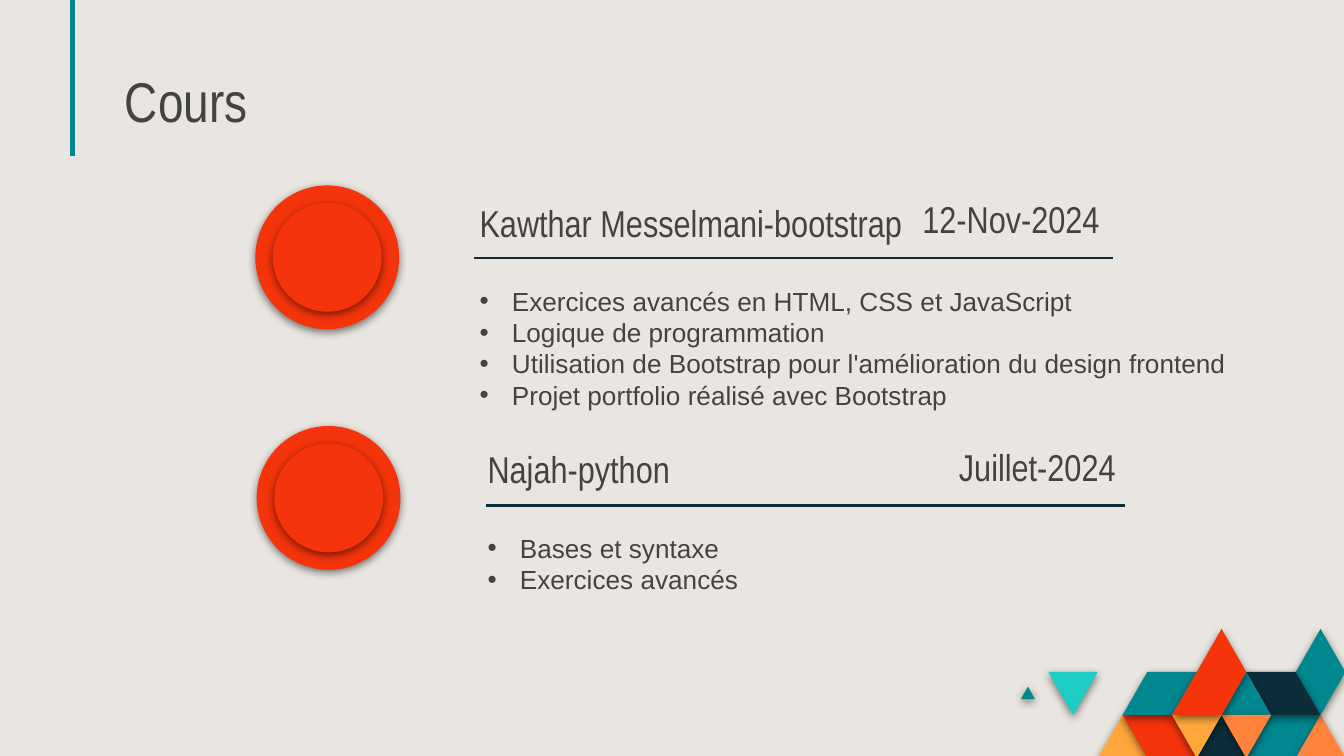
from lxml import etree
from pptx import Presentation
from pptx.dml.color import RGBColor
from pptx.enum.shapes import MSO_CONNECTOR, MSO_SHAPE
from pptx.enum.text import MSO_ANCHOR, PP_ALIGN
from pptx.oxml.ns import qn
from pptx.util import Inches, Pt

LINE, OVAL = MSO_CONNECTOR.STRAIGHT, MSO_SHAPE.OVAL
TOP, LOW = MSO_ANCHOR.TOP, MSO_ANCHOR.BOTTOM
LEFT, RIGHT = PP_ALIGN.LEFT, PP_ALIGN.RIGHT

THEME = {
    "back": "E9E6E1", "text": "434343", "teal": "018790", "aqua": "1DCDC3",
    "red": "F5340B", "navy": "0C2E3A", "gold": "FFA73B", "orange": "FF823B",
    "head": "Arial Narrow", "body": "Arial",
    "title": 30, "name": 20, "item": 14,
}

TITLE = "Cours"
COURSES = [
    {
        "name": ("Kawthar Messelmani-bootstrap", (3.47, 1.26, 3.44, 0.66)),
        "date": ("12-Nov-2024", (6.13, 1.26, 2.15, 0.63)),
        "rule": (3.53, 1.92),
        "disc": (1.9, 1.38),
        "items": [
            "Exercices avancés en HTML, CSS et JavaScript",
            "Logique de programmation",
            "Utilisation de Bootstrap pour l'amélioration du design frontend",
            "Projet portfolio réalisé avec Bootstrap",
        ],
        "list": (3.47, 2.02, 6.15, 1.22),
        "pad": 0.1,
    },
    {
        "name": ("Najah-python", (3.53, 3.12, 2.66, 0.63)),
        "date": ("Juillet-2024", (6.25, 3.11, 2.15, 0.63)),
        "rule": (3.62, 3.76),
        "disc": (1.91, 3.17),
        "items": ["Bases et syntaxe", "Exercices avancés"],
        "list": (3.53, 3.91, 5, 0.57),
        "pad": 0.05,
    },
]
RULE = 4.75
DISC, INSET = 1.07, 0.13

GRID = (7.8, 4.68, 2.21 / 12, 0.32)
TILES = [
    ("gold", [(2, 3), (3, 2), (4, 3)]),
    ("red", [(3, 2), (5, 2), (6, 3), (4, 3)]),
    ("teal", [(8, 3), (9, 2), (11, 2), (10, 3)]),
    ("orange", [(10, 3), (11, 2), (12, 3)]),
    ("navy", [(6, 3), (7, 2), (8, 3)]),
    ("teal", [(3, 2), (4, 1), (6, 1), (5, 2)]),
    ("teal", [(-1.1, 1.63), (-0.82, 1.34), (-0.54, 1.63)]),
    ("aqua", [(0, 1), (2, 1), (1, 2)]),
    ("teal", [(10, 1), (11, 0), (12, 1), (11, 2)]),
    ("navy", [(8, 1), (10, 1), (11, 2), (9, 2)]),
    ("teal", [(7, 2), (8, 1), (9, 2)]),
    ("orange", [(7, 2), (9, 2), (8, 3)]),
    ("gold", [(5, 2), (7, 2), (6, 3)]),
    ("red", [(5, 2), (7, 0), (8, 1), (7, 2)]),
]


def tint(key):
    return RGBColor.from_string(THEME[key])


def paint(shape, key):
    shape.fill.solid()
    shape.fill.fore_color.rgb = tint(key)
    shape.line.fill.background()
    shape.shadow.inherit = False
    glow = shape._element.spPr.find(qn("a:effectLst"))
    cast = etree.SubElement(glow, qn("a:outerShdw"), blurRad=str(Pt(4.5)),
                            dist=str(Pt(1.5)), dir="5400000", algn="bl", rotWithShape="0")
    shade = etree.SubElement(cast, qn("a:srgbClr"), val="000000")
    etree.SubElement(shade, qn("a:alpha"), val="50000")


def draw_line(slide, start, end, key, width):
    line = slide.shapes.add_connector(LINE, *map(Inches, start + end))
    line.line.color.rgb = tint(key)
    line.line.width = Pt(width)
    etree.SubElement(line._element.spPr, qn("a:effectLst"))


def draw_tile(slide, key, cells):
    left, top, wide, high = GRID
    points = [(Inches(left + c * wide), Inches(top + r * high)) for c, r in cells]
    pen = slide.shapes.build_freeform(*points[0])
    pen.add_line_segments(points[1:], close=True)
    paint(pen.convert_to_shape(), key)


def draw_disc(slide, spot, inset):
    x, y = (v + inset for v in spot)
    size = DISC - 2 * inset
    disc = slide.shapes.add_shape(OVAL, *map(Inches, (x, y, size, size)))
    paint(disc, "red")


def set_frame(frame, anchor, pad=0.1):
    frame.word_wrap = True
    frame.vertical_anchor = anchor
    frame.margin_left = frame.margin_right = Inches(0.1)
    frame.margin_top = frame.margin_bottom = Inches(pad)


def add_text(para, text, font, size, align=LEFT):
    para.alignment = align
    run = para.add_run()
    run.text = text
    run.font.name = THEME[font]
    run.font.size = Pt(THEME[size])
    run.font.color.rgb = tint("text")


def add_label(slide, text, box, align):
    frame = slide.shapes.add_textbox(*map(Inches, box)).text_frame
    set_frame(frame, LOW)
    add_text(frame.paragraphs[0], text, "head", "name", align)


def add_list(slide, items, box, pad):
    frame = slide.shapes.add_textbox(*map(Inches, box)).text_frame
    set_frame(frame, TOP, pad)
    for i, item in enumerate(items):
        para = frame.add_paragraph() if i else frame.paragraphs[0]
        add_text(para, item, "body", "item")
        props = para._p.get_or_add_pPr()
        props.set("marL", str(Inches(0.24)))
        props.set("indent", str(Inches(-0.24)))
        etree.SubElement(props, qn("a:buFont"), typeface=THEME["body"])
        etree.SubElement(props, qn("a:buChar"), char="•")


def add_title(slide):
    title = slide.shapes.title
    title.left, title.top, title.width, title.height = map(Inches, (0.83, 0.46, 4.16, 0.63))
    set_frame(title.text_frame, LOW)
    para = title.text_frame.paragraphs[0]
    para.line_spacing = 0.8
    add_text(para, TITLE, "head", "title")


def add_course(slide, course):
    for inset in (0, INSET):
        draw_disc(slide, course["disc"], inset)
    x, y = course["rule"]
    draw_line(slide, (x, y), (x + RULE, y), "navy", 1.5)
    add_label(slide, *course["name"], LEFT)
    add_label(slide, *course["date"], RIGHT)
    add_list(slide, course["items"], course["list"], course["pad"])


def main():
    deck = Presentation()
    deck.slide_width, deck.slide_height = Inches(10), Inches(10 * 9 / 16)
    slide = deck.slides.add_slide(deck.slide_layouts[5])
    slide.background.fill.solid()
    slide.background.fill.fore_color.rgb = tint("back")
    draw_line(slide, (0.54, -0.07), (0.54, 1.16), "teal", 2.25)
    for key, cells in TILES:
        draw_tile(slide, key, cells)
    add_title(slide)
    for course in COURSES:
        add_course(slide, course)
    deck.save("out.pptx")


if __name__ == "__main__":
    main()
